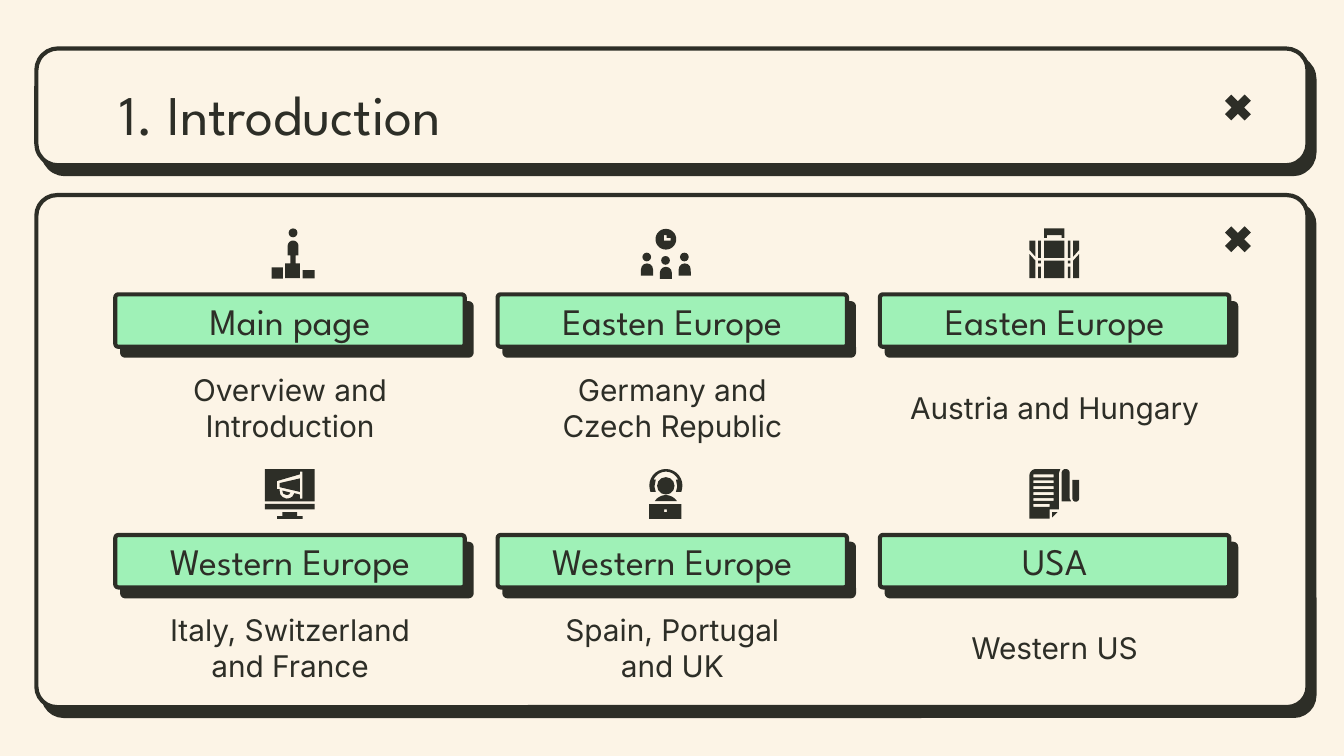
from math import cos, sin, radians
from pptx import Presentation
from pptx.dml.color import RGBColor as RGB
from pptx.enum.shapes import MSO_SHAPE as Kind
from pptx.enum.text import MSO_ANCHOR as Anchor, PP_ALIGN as Align
from pptx.oxml import parse_xml
from pptx.oxml.ns import nsdecls, qn
from pptx.util import Pt

HUES = {"paper": "FCF4E6", "ink": "2D2E27", "mint": "9FF1B7"}
FONTS = {
    "title": {"name": "League Spartan", "size": Pt(30)},
    "head": {"name": "League Spartan", "size": Pt(20)},
    "note": {"name": "Inter", "size": Pt(16)},
}
FRAME = {"word_wrap": True, "margin_left": Pt(7.2), "margin_right": Pt(7.2),
         "margin_top": Pt(7.2), "margin_bottom": Pt(7.2)}
UNIT = 0.72  # points per step of the icon grid, 37 steps wide

# Card grid: left, top, size and steps
LEFT, TOP, WIDE, HIGH = 61.8, 157.7, 187.2, 28.1
STEP_X, STEP_Y = 204.8, 128.9
ICON_X = [141.9, 343.4, 551.5]
ICON_Y = 122.4
CARDS = [
    # heading, heading width, lines of the note
    [("Main page", 161.3, ["Overview and Introduction"]),
     ("Easten Europe", 187.2, ["Germany and", "Czech Republic"]),
     ("Easten Europe", 187.2, ["Austria and Hungary"])],
    [("Western Europe", 187.2, ["Italy, Switzerland", "and France"]),
     ("Western Europe", 187.2, ["Spain, Portugal", "and UK"]),
     ("USA", 161.3, ["Western US"])],
]


def hue(key):
    return RGB.from_string(HUES[key])


def paint(shape, key, edge=False):
    shape.shadow.inherit = False
    shape.fill.solid()
    shape.fill.fore_color.rgb = hue(key)
    if edge:
        shape.line.color.rgb = hue("ink")
        shape.line.width = Pt(2.25)
    else:
        shape.line.fill.background()


def add_form(shapes, kind, x, y, w, h, key="ink", edge=False, adj=None):
    shape = shapes.add_shape(kind, Pt(x), Pt(y), Pt(w), Pt(h))
    paint(shape, key, edge)
    if adj is not None:
        shape.adjustments[0] = adj
    return shape


def add_card(shapes, x, y, w, h, key, adj):
    """Rounded box with a hard shadow."""
    card = add_form(shapes, Kind.ROUNDED_RECTANGLE, x, y, w, h, key, True, adj)
    card.element.spPr.find(qn("a:effectLst")).append(parse_xml(
        f'<a:outerShdw {nsdecls("a")} dist="{Pt(6)}" dir="{52 * 60000}" '
        f'algn="bl" rotWithShape="0"><a:srgbClr val="{HUES["ink"]}"/></a:outerShdw>'))


def add_text(shapes, x, y, w, h, lines, style, align=Align.CENTER, anchor=Anchor.MIDDLE):
    frame = shapes.add_textbox(Pt(x), Pt(y), Pt(w), Pt(h)).text_frame
    for name, value in FRAME.items():
        setattr(frame, name, value)
    frame.vertical_anchor = anchor
    for i, line in enumerate(lines):
        para = frame.add_paragraph() if i else frame.paragraphs[0]
        para.alignment = align
        run = para.add_run()
        run.text = line
        for name, value in FONTS[style].items():
            setattr(run.font, name, value)
        run.font.color.rgb = hue("ink")


# Icon parts, all in grid steps
def arc(cx, cy, r, start, end, n=16):
    turns = [radians(start + (end - start) * i / n) for i in range(n + 1)]
    return [(cx + r * cos(t), cy + r * sin(t)) for t in turns]


def ring(x, y, w, h):
    return [(x, y), (x, y + h), (x + w, y + h), (x + w, y)]


def box(x, y, w, h):
    return Kind.RECTANGLE, (x, y, w, h)


def dot(x, y, d):
    return Kind.OVAL, (x, y, d, d)


def bust(x, y):
    return [(Kind.ROUND_2_SAME_RECTANGLE, (x, y, 9, 9)), dot(x + 1, y - 8, 6.5)]


def poly(*rings):
    """Outline first, then any holes."""
    return None, rings


def flip(points):
    return [(37 - x, y) for x, y in points]


def podium():
    body = arc(21, 13, 4, 180, 360) + [
        (25, 20), (23, 20), (23, 26), (26, 26), (26, 37),
        (15, 37), (15, 26), (19, 26), (19, 20), (17, 20)]
    return [dot(17.7, 0, 6.6), poly(body), box(5, 29, 8.5, 8.3), box(28, 31, 9, 6.3)]


def meeting():
    hands = [(17, 5), (17, 9), (22, 9), (22, 7), (19, 7), (19, 5)]
    clock = poly(arc(18.5, 8, 7.7, 0, 360, 32), hands)
    return [clock] + bust(0, 26) + bust(14, 28.5) + bust(28, 26)


def luggage():
    sides = [[(0, 9), (0, 16), (4.5, 21), (4.5, 9)],
             [(0, 19), (0, 37), (4.5, 37), (4.5, 24)]]
    grip = [(11, 0), (11, 7), (13, 7), (13, 5), (24, 5), (24, 7), (26, 7), (26, 0)]
    parts = [poly(turn) for side in sides for turn in (side, flip(side))]
    parts += [box(x, y, 2, h) for x in (6.5, 28.5)
              for y, h in ((9, 13), (24, 2), (28.5, 8.5))]
    return parts + [box(11, y, 15, 13) for y in (9, 24)] + [poly(grip)]


def screen():
    hole = [(28, 2), (28, 22), (26, 22), (26, 19), (22, 18), (20.5, 20.5),
            (18.5, 21.7), (16, 22), (13.5, 21), (11.5, 19), (11, 16), (11, 15),
            (9, 15), (9, 9), (26, 4), (26, 2)]
    horn = [(26, 7), (11, 10.5), (11, 13.5), (26, 17)]
    clip = [(13, 16), (13.7, 18.3), (16, 19.3), (18, 19), (19, 17.5)]
    foot = [(13, 32), (13, 35), (9, 35), (9, 37), (28, 37), (28, 35), (24, 35), (24, 32)]
    return [box(0, 26, 37, 4), poly(clip), poly(horn),
            poly(ring(0, 0, 37, 24), hole), poly(foot)]


def agent():
    band = ([(7, 17)] + arc(18.5, 12.3, 12.3, 165, 375) + [(30, 17), (26, 17), (27, 13), (26, 8)]
            + arc(18.5, 12, 10, 335, 205) + [(11, 8), (10, 13), (11, 17)])
    return [poly(band), poly(ring(6, 26, 24, 11), ring(17.3, 30, 2, 2)),
            dot(12, 6, 13), poly(arc(18.5, 29.2, 9.8, 213, 327))]


def paper():
    rules = [ring(3, 4 + 4.4 * i, 12 if i == 5 else 15, 2.2) for i in range(6)]
    page = arc(5, 5, 5, 180, 270) + [(23, 0), (22, 3), (22, 30), (15, 30), (15, 37), (0, 37)]
    pen = [(37, 8), (32, 8)] + arc(34.5, 21.8, 2.5, 180, 0)
    cap = arc(27, 3, 3, 180, 360) + [(30, 22), (31, 24), (24, 24)]
    return [poly(page, *rules), poly([(17, 32), (17, 36), (21, 32)]), poly(pen), poly(cap)]


def add_icon(shapes, x, y, parts):
    group = shapes.add_group_shape().shapes
    for kind, data in parts:
        if kind is not None:
            px, py, w, h = (v * UNIT for v in data)
            add_form(group, kind, x + px, y + py, w, h,
                     adj=0.5 if kind == Kind.ROUND_2_SAME_RECTANGLE else None)
            continue
        rings = [[(Pt(x + px * UNIT), Pt(y + py * UNIT)) for px, py in r] for r in data]
        pen = group.build_freeform(*rings[0][0])
        pen.add_line_segments(rings[0][1:], close=True)
        for hole in rings[1:]:
            pen.move_to(*hole[0])
            pen.add_line_segments(hole[1:], close=True)
        paint(pen.convert_to_shape(), "ink")


def main():
    deck = Presentation()
    deck.slide_width, deck.slide_height = Pt(720), Pt(405)
    slide = deck.slides.add_slide(deck.slide_layouts[6])
    slide.background.fill.solid()
    slide.background.fill.fore_color.rgb = hue("paper")
    shapes = slide.shapes

    # Panels with their close marks
    for y, h, adj, mark in ((104.5, 274.3, 0.04, 118.1), (26, 62.6, 0.186, 47.5)):
        add_card(shapes, 19.5, y, 681, h, "paper", adj)
        add_form(shapes, Kind.MATH_MULTIPLY, 653.1, mark, 20.2, 20.2, adj=0.235)
    add_text(shapes, 56.9, 35.3, 607, 45.4, ["1. Introduction"], "title",
             Align.LEFT, Anchor.TOP)

    # Cards with heading, note and icon
    icons = [[podium, meeting, luggage], [screen, agent, paper]]
    for row, cards in enumerate(CARDS):
        for col, (head, wide, note) in enumerate(cards):
            x, y = LEFT + col * STEP_X, TOP + row * STEP_Y
            add_card(shapes, x, y, WIDE, HIGH, "mint", 0.057)
            add_text(shapes, x + (WIDE - wide) / 2, y - 2.9, wide, 33.8, [head], "head")
            add_text(shapes, x - 5, y + 37.8, WIDE + 10, 45.4, note, "note")
            add_icon(shapes, ICON_X[col], ICON_Y + row * STEP_Y, icons[row][col]())

    deck.save("out.pptx")


if __name__ == "__main__":
    main()
